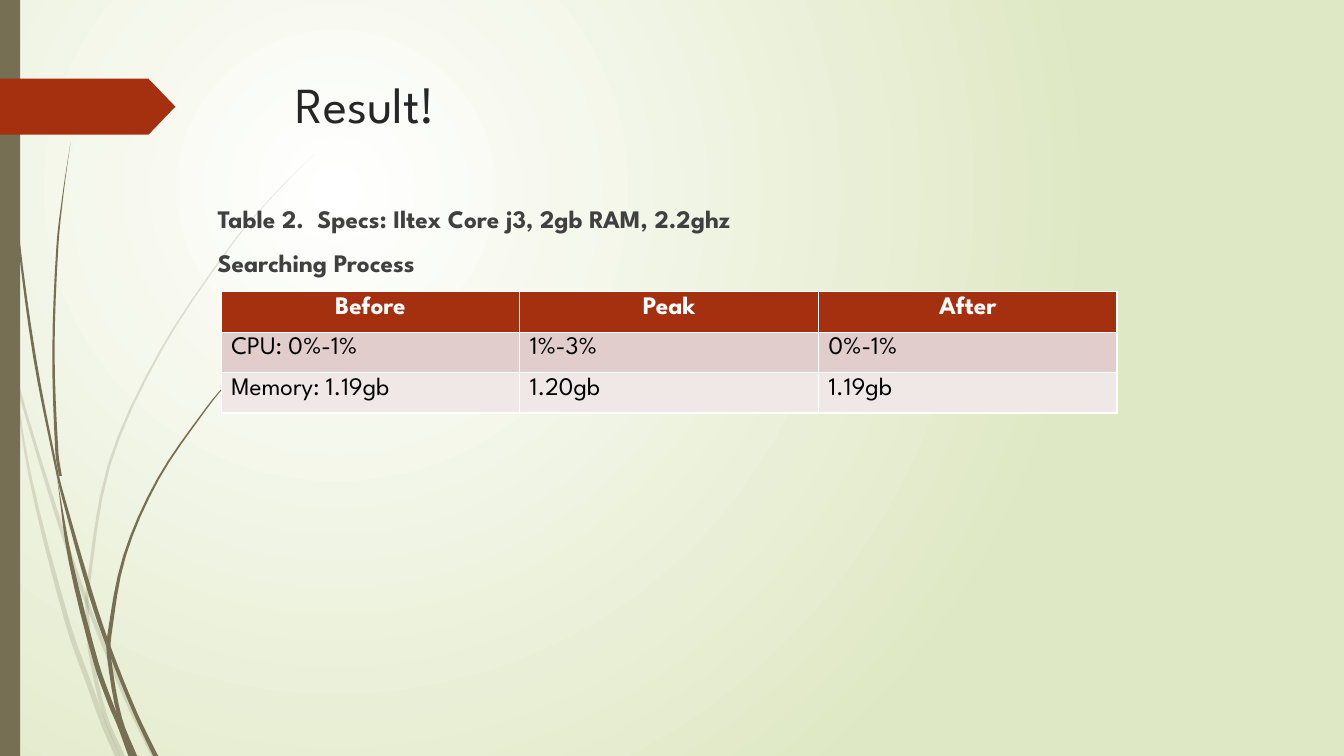
import dataclasses

import pptx
import pptx.dml.color
import pptx.enum.shapes
import pptx.enum.text
import pptx.oxml
import pptx.oxml.ns
import pptx.util

Pt = pptx.util.Pt
qn = pptx.oxml.ns.qn
SHAPES = pptx.enum.shapes.MSO_SHAPE
ALIGN = pptx.enum.text.PP_ALIGN


@dataclasses.dataclass(frozen=True)
class Theme:
    """Colours, font and type sizes of the slide."""
    glow: str = "FFFFFF"
    backdrop: str = "DFE8C4"
    grass: str = "766F54"
    accent: str = "A53010"
    title_ink: str = "262626"
    body_ink: str = "404040"
    cell_ink: str = "000000"
    white: str = "FFFFFF"
    bands: tuple = ("E1CDCC", "F0E8E7")
    font: str = "League Spartan"
    title_size: int = 36
    body_size: int = 18


@dataclasses.dataclass(frozen=True)
class Box:
    """A region of the slide, in points."""
    left: float
    top: float
    width: float
    height: float

    def lengths(self):
        """Return the four sides as slide lengths."""
        return [Pt(side) for side in dataclasses.astuple(self)]


THEME = Theme()

# Each blade: the heights where its segments meet, then its knots
# (centre x, y and thickness) from top to bottom.
FAINT_BLADES = [
    ((249, 430), [(0, 209, 4), (8, 249, 4), (11.5, 271, 2), (43, 375, 3),
                  (62, 430, 3), (90, 499, 3), (109.8, 540, 3.6)]),
    ((517,), [(8, 252, 0), (21, 338, 2), (48.6, 446, 3.6), (66, 495, 4),
              (74, 517, 4), (84, 540, 4)]),
    ((424, 438, 511), [(224.6, 110, 0), (193, 142, 0.6), (164.5, 176, 1),
                       (114.5, 251, 1.6), (78, 332, 2), (62.3, 424, 2.4),
                       (62.5, 438, 2.6), (64.5, 465, 3), (75, 511, 3), (87.5, 540, 3.6)]),
]
SOLID_BLADES = [
    ((335, 353, 463), [(2.5, 0, 0.6), (5.4, 79, 0.7), (13, 168, 1.4),
                       (24.8, 255.6, 2), (40.3, 335, 1.6), (44.6, 353, 2),
                       (65.2, 425.5, 3.2), (78, 463, 3), (96.5, 509, 2.9),
                       (111.2, 540, 3.6)]),
    ((518,), [(41, 343, 0), (50.4, 400.7, 2.9), (68.8, 474, 3.6),
              (79.5, 504, 3.6), (85.5, 518, 3.6), (94.7, 540, 6)]),
    ((), [(50.4, 101.5, 0), (45, 139, 0.7), (41, 176, 1.4), (38.2, 251, 1.6),
          (40.7, 324, 2.2), (43.2, 340, 2)]),
    ((455, 470, 513), [(187.5, 247.7, 0), (166.3, 269, 0.6), (147.2, 292, 1.2),
                       (113, 342, 1.6), (89, 397, 2), (78, 455, 3), (78, 470, 2.8),
                       (85.7, 513, 3), (96.5, 540, 3)]),
]


def rgb(code):
    """Turn a hex code into a colour."""
    return pptx.dml.color.RGBColor.from_string(code)


def paint(shape, colour, opacity=100):
    """Give a shape a plain fill without line or shadow."""
    shape.shadow.inherit = False
    shape.line.fill.background()
    shape.fill.solid()
    shape.fill.fore_color.rgb = rgb(colour)
    if opacity < 100:
        tint = shape.fill._xPr.find(".//" + qn("a:srgbClr"))
        tint.append(pptx.oxml.parse_xml(
            f'<a:alpha {pptx.oxml.ns.nsdecls("a")} val="{opacity * 1000}"/>'))


def smooth(knots, steps=4):
    """Join knots, ordered by height, with a smooth curve."""
    padded = [knots[0], *knots, knots[-1]]
    slopes = [[(b - a) / (below[1] - above[1]) for a, b in zip(above, below)]
              for above, below in zip(padded, padded[2:])]
    curve = []
    for start, end, leave, arrive in zip(knots, knots[1:], slopes, slopes[1:]):
        rise = end[1] - start[1]
        for step in range(steps):
            t = step / steps
            ease = t * t * (3 - 2 * t)
            curve.append([
                a + (b - a) * ease + rise * t * (1 - t) * (m * (1 - t) - n * t)
                for a, b, m, n in zip(start, end, leave, arrive)])
    return curve + [knots[-1]]


def draw_grass(page, box, blades, opacity=100):
    """Draw tapering grass blades, segment by segment."""
    for cuts, knots in blades:
        curve = smooth(knots)
        limits = [knots[0][1], *cuts, knots[-1][1]]
        for top, bottom in zip(limits, limits[1:]):
            segment = [point for point in curve if top - 0.1 <= point[1] <= bottom + 0.1]
            left_edge = [(x - thick / 2, y) for x, y, thick in segment]
            right_edge = [(x + thick / 2, y) for x, y, thick in reversed(segment)]
            outline = [(Pt(box.left + x), Pt(box.top + y)) for x, y in left_edge + right_edge]
            builder = page.shapes.build_freeform(*outline[0], scale=1.0)
            builder.add_line_segments(outline[1:], close=True)
            paint(builder.convert_to_shape(), THEME.grass, opacity)


def draw_backdrop(page):
    """Fill the page with a glow centred near its upper left."""
    fill = page.background.fill
    fill.gradient()
    for stop, place, colour in zip(fill.gradient_stops, (0, 1), (THEME.glow, THEME.backdrop)):
        stop.position = place
        stop.color.rgb = rgb(colour)
    gradient = page.element.find(".//" + qn("a:gradFill"))
    gradient.replace(gradient.find(qn("a:lin")), pptx.oxml.parse_xml(
        f'<a:path {pptx.oxml.ns.nsdecls("a")} path="circle">'
        '<a:fillToRect l="50000" t="50000" r="100000" b="100000"/></a:path>'))


def draw_margin(page, box):
    """Draw the grass, the side bar and the title flag."""
    draw_grass(page, box, FAINT_BLADES, opacity=20)
    draw_grass(page, box, SOLID_BLADES)
    bar = Box(box.left, box.top, 14.4, box.height)
    paint(page.shapes.add_shape(SHAPES.RECTANGLE, *bar.lengths()), THEME.grass)
    flag_box = Box(box.left, box.top + 56.2, 125.3, 40)
    flag = page.shapes.add_shape(SHAPES.PENTAGON, *flag_box.lengths())
    flag.adjustments[0] = 0.48
    paint(flag, THEME.accent)


def style(para, size, colour, bold=False, align=ALIGN.LEFT):
    """Set the type of a whole paragraph."""
    para.font.name = THEME.font
    para.font.size = Pt(size)
    para.font.bold = bold
    para.font.color.rgb = rgb(colour)
    para.alignment = align


def write_text(page, box, lines, size, colour, bold=False, gap=0):
    """Write lines, one paragraph each, from the top of the box."""
    frame = page.shapes.add_textbox(*box.lengths()).text_frame
    frame.word_wrap = True
    for index, line in enumerate(lines):
        para = frame.add_paragraph() if index else frame.paragraphs[0]
        para.text = line
        para.space_before = Pt(gap)
        style(para, size, colour, bold)


def draw_table(page, box, rows):
    """Draw a table with a header row and tinted body rows."""
    table = page.shapes.add_table(len(rows), len(rows[0]), *box.lengths()).table
    for row_index, row in enumerate(rows):
        table.rows[row_index].height = Pt(box.height / len(rows))
        header = row_index == 0
        fill = THEME.accent if header else THEME.bands[(row_index - 1) % 2]
        ink = THEME.white if header else THEME.cell_ink
        for column_index, words in enumerate(row):
            cell = table.cell(row_index, column_index)
            cell.text = words
            cell.fill.solid()
            cell.fill.fore_color.rgb = rgb(fill)
            style(cell.text_frame.paragraphs[0], THEME.body_size, ink, header,
                  ALIGN.CENTER if header else ALIGN.LEFT)


def build_result_page(deck, box):
    """Build the slide with the title, caption and results table."""
    page = deck.slides.add_slide(deck.slide_layouts[6])
    draw_backdrop(page)
    draw_margin(page, box)
    write_text(page, Box(box.left + 204, box.top + 49, 702, 101), ["Result!"],
               THEME.title_size, THEME.title_ink)
    write_text(page, Box(box.left + 148.3, box.top + 141.8, 702, 297),
               ["Table 2.  Specs: Iltex Core j3, 2gb RAM, 2.2ghz", "Searching Process"],
               THEME.body_size, THEME.body_ink, bold=True, gap=10)
    draw_table(page, Box(box.left + 158, box.top + 208.5, 640, 84), [
        ["Before", "Peak", "After"],
        ["CPU: 0%-1%", "1%-3%", "0%-1%"],
        ["Memory: 1.19gb", "1.20gb", "1.19gb"],
    ])


deck = pptx.Presentation()
deck.slide_width, deck.slide_height = Pt(960), Pt(540)
build_result_page(deck, Box(0, 0, 960, 540))
deck.save("out.pptx")
